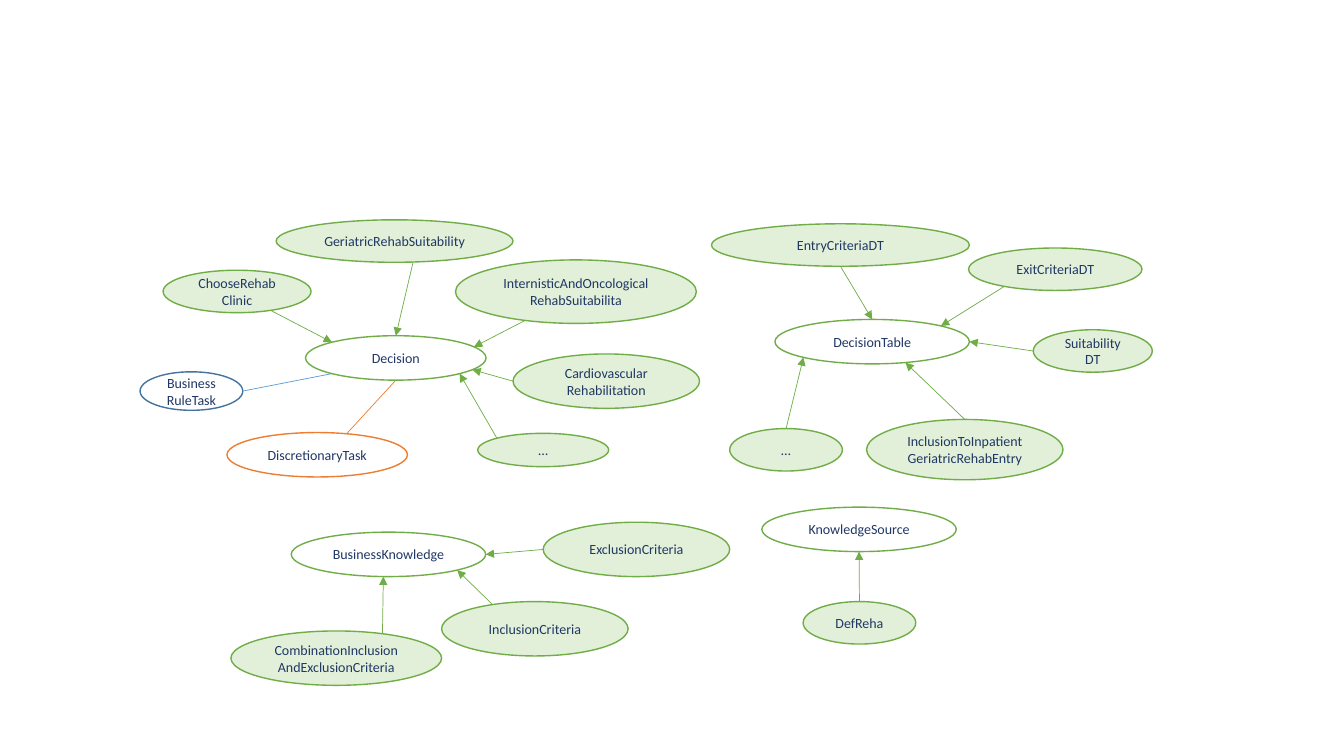
import math

import pptx
import pptx.dml.color
import pptx.enum.shapes
import pptx.enum.text
import pptx.oxml
import pptx.oxml.ns
import pptx.util

Cm, Pt = pptx.util.Cm, pptx.util.Pt

THEME = {
    "font": "Calibri", "size": 10, "text": "203864",
    "outline_width": 1, "link_width": 0.5,
    # kind: fill, outline, link colour, arrowhead at the concept
    "concept": ("FFFFFF", "70AD47", None, False),
    "instance": ("E2F0D9", "70AD47", "70AD47", True),
    "discretionary": ("FFFFFF", "ED7D31", "ED7D31", False),
    "rule": (None, "43739E", "5B9BD5", False),
}

# Each concept: label, (left, top, width, height) in cm, and its members.
# Each member: kind, label, box, link angle on the member, link angle on the
# concept. Angles are degrees clockwise from the right end of the ellipse.
CONCEPTS = [
    ("Decision", (7.70, 8.46, 4.55, 1.12), [
        ("instance", "ChooseRehab\vClinic", (4.11, 6.81, 3.73, 1.07), 63, 225),
        ("instance", "GeriatricRehabSuitability", (6.96, 5.54, 5.97, 1.07), 81, 270),
        ("instance", "InternisticAndOncological\vRehabSuitabilita", (11.48, 6.55, 6.07, 1.6), 115, 330),
        ("instance", "Cardiovascular Rehabilitation", (12.93, 8.92, 4.7, 1.37), 180, 32),
        ("instance", "…", (12.04, 10.92, 3.3, 0.84), 225, 45),
        ("discretionary", "DiscretionaryTask", (5.72, 10.9, 4.55, 1.12), 289, 90),
        ("rule", "Business\vRuleTask", (3.53, 9.37, 2.59, 0.97), 0, 135),
    ]),
    ("DecisionTable", (19.53, 8.05, 4.9, 1.12), [
        ("instance", "EntryCriteriaDT", (17.93, 5.64, 6.5, 1.07), 90, 270),
        ("instance", "ExitCriteriaDT", (24.41, 6.25, 4.37, 1.07), 126, 315),
        ("instance", "Suitability\vDT", (26.04, 8.31, 3.0, 1.07), 180, 0),
        ("instance", "InclusionToInpatient\vGeriatricRehabEntry", (21.84, 10.57, 4.95, 1.52), 270, 70),
        ("instance", "…", (18.39, 10.8, 2.84, 1.07), 270, 135),
    ]),
    ("BusinessKnowledge", (7.34, 13.41, 4.9, 1.12), [
        ("instance", "ExclusionCriteria", (13.69, 13.16, 4.7, 1.37), 180, 0),
        ("instance", "InclusionCriteria", (11.13, 15.16, 4.7, 1.37), 243, 45),
        ("instance", "CombinationInclusion\vAndExclusionCriteria", (5.82, 15.9, 5.31, 1.37), 296, 93),
    ]),
    ("KnowledgeSource", (19.2, 12.78, 4.9, 1.12), [
        ("instance", "DefReha", (20.24, 15.16, 2.84, 1.07), 270, 90),
    ]),
]


def rgb(code):
    return pptx.dml.color.RGBColor.from_string(code)


def add_node(slide, kind, label, box):
    fill, outline, _, _ = THEME[kind]
    node = slide.shapes.add_shape(
        pptx.enum.shapes.MSO_SHAPE.OVAL, *[Cm(length) for length in box])
    node.shadow.inherit = False
    if fill:
        node.fill.solid()
        node.fill.fore_color.rgb = rgb(fill)
    else:
        node.fill.background()
    node.line.color.rgb = rgb(outline)
    node.line.width = Pt(THEME["outline_width"])

    frame = node.text_frame
    frame.word_wrap = True
    frame.vertical_anchor = pptx.enum.text.MSO_ANCHOR.MIDDLE
    frame.margin_left = frame.margin_right = 0
    frame.margin_top = frame.margin_bottom = 0
    frame.text = label
    paragraph = frame.paragraphs[0]
    paragraph.alignment = pptx.enum.text.PP_ALIGN.CENTER
    paragraph.font.name = THEME["font"]
    paragraph.font.size = Pt(THEME["size"])
    paragraph.font.color.rgb = rgb(THEME["text"])


def rim_point(box, degrees):
    """Point on the outline of the ellipse that fills the box."""
    left, top, width, height = box
    angle = math.radians(degrees)
    return (Cm(left + width / 2 * (1 + math.cos(angle))),
            Cm(top + height / 2 * (1 + math.sin(angle))))


def add_link(slide, kind, start, end):
    _, _, color, arrow = THEME[kind]
    link = slide.shapes.add_connector(
        pptx.enum.shapes.MSO_CONNECTOR.STRAIGHT, *start, *end)
    link.line.color.rgb = rgb(color)
    link.line.width = Pt(THEME["link_width"])
    properties = link._element.spPr
    if arrow:
        head = pptx.oxml.parse_xml(
            f'<a:tailEnd {pptx.oxml.ns.nsdecls("a")} type="triangle"/>')
        properties.find(pptx.oxml.ns.qn("a:ln")).append(head)
    properties.append(pptx.oxml.parse_xml(
        f'<a:effectLst {pptx.oxml.ns.nsdecls("a")}/>'))


def main():
    presentation = pptx.Presentation()
    presentation.slide_width = Cm(33.87)
    presentation.slide_height = Cm(19.05)
    slide = presentation.slides.add_slide(presentation.slide_layouts[6])

    # Concepts with their members and links
    for concept, concept_box, members in CONCEPTS:
        add_node(slide, "concept", concept, concept_box)
        for kind, label, box, member_angle, concept_angle in members:
            add_node(slide, kind, label, box)
            add_link(slide, kind, rim_point(box, member_angle),
                     rim_point(concept_box, concept_angle))

    presentation.save("out.pptx")


if __name__ == "__main__":
    main()
